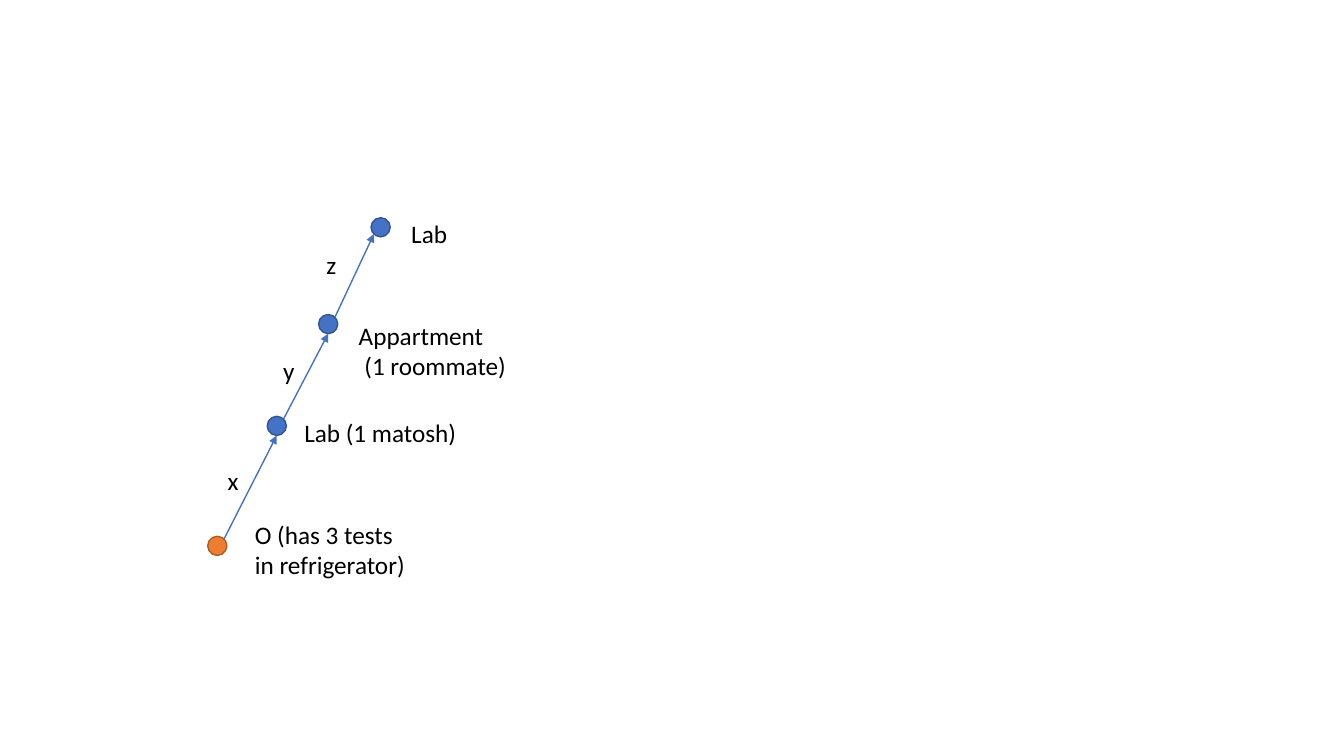
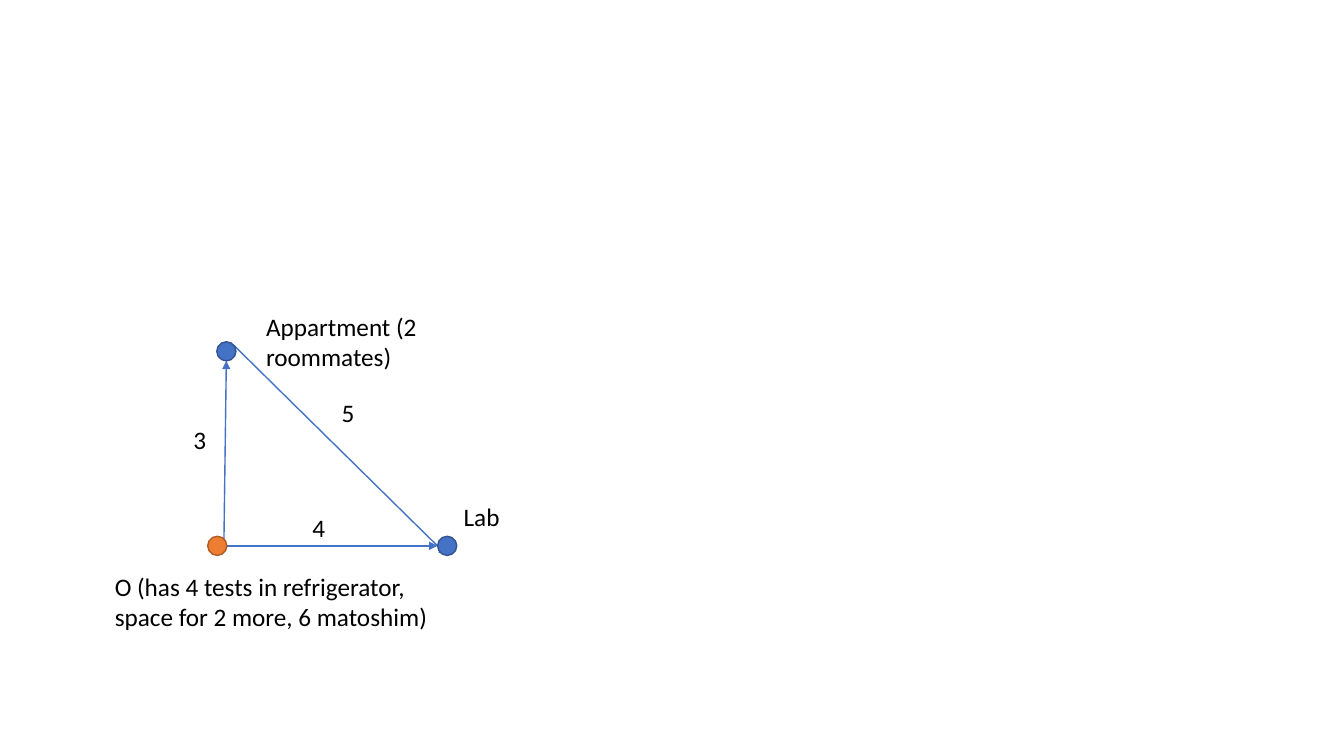
from dataclasses import dataclass

from pptx import Presentation
from pptx import util as u
from pptx.dml.color import RGBColor
from pptx.enum import shapes, text
from pptx.oxml import ns, xmlchemy

PX = 9144  # EMU: 100 px to the inch


@dataclass(frozen=True)
class Theme:
    font: str = "Calibri"
    size: int = 18
    ink: RGBColor = RGBColor.from_string("000000")
    arrow: RGBColor = RGBColor.from_string("4472C4")
    place: tuple = (RGBColor.from_string("4472C4"), RGBColor.from_string("325491"))
    origin: tuple = (RGBColor.from_string("ED7D31"), RGBColor.from_string("AF5C24"))
    line: int = 1


THEME = Theme()
SLIDE_SIZE = (1333, 750)
NODE = 19
WEIGHT_WIDTH = 66
LINE_HEIGHTS = {1: 40, 2: 71}

# Where an arrow touches a node, in fractions of the node's size
SITES = {"N-E": (0.85, 0.15), "E": (1, 0.5), "S": (0.5, 1), "S-W": (0.15, 0.85), "W": (0, 0.5)}

# Nodes: left, top. Arrows: from, site, to, site. Weights: text, left, top.
# Labels: text, left, top, width, number of lines. All relative to the box.
CHAIN = {
    "box": (206, 212),
    "nodes": {"origin": (0, 320), "first lab": (59, 201),
              "apartment": (110, 100), "last lab": (162, 4)},
    "arrows": [("origin", "N-E", "first lab", "S"),
               ("first lab", "N-E", "apartment", "S"),
               ("apartment", "N-E", "last lab", "S-W")],
    "weights": [("x", 10, 245), ("y", 65, 136), ("z", 108, 30)],
    "labels": [("O (has 3 tests in refrigerator)", 37, 298, 177, 2),
               ("Lab (1 matosh)", 86, 197, 177, 1),
               ("Appartment\n (1 roommate)", 140, 101, 177, 2),
               ("Lab", 192, 0, 71, 1)],
}
TRIANGLE = {
    "box": (104, 304),
    "nodes": {"origin": (102, 228), "apartment": (111, 35), "lab": (330, 228)},
    "arrows": [("origin", "N-E", "apartment", "S"),
               ("apartment", "N-E", "lab", "S"),
               ("origin", "E", "lab", "W")],
    "weights": [("3", 78, 112), ("4", 196, 199), ("5", 225, 85)],
    "labels": [("O (has 4 tests in refrigerator, space for 2 more, 6 matoshim)",
                0, 258, 346, 2),
               ("Appartment (2 roommates)", 150, 0, 281, 2),
               ("Lab", 346, 188, 71, 1)],
}


def px(*lengths):
    return [u.Emu(round(length * PX)) for length in lengths]


def add_arrow(slide, start, end):
    arrow = slide.shapes.add_connector(shapes.MSO_CONNECTOR.STRAIGHT, *px(*start, *end))
    arrow.line.color.rgb = THEME.arrow
    arrow.line.width = u.Pt(THEME.line)
    properties = arrow.element.spPr
    head = xmlchemy.OxmlElement("a:tailEnd")
    head.set("type", "triangle")
    properties.find(ns.qn("a:ln")).append(head)
    properties.append(xmlchemy.OxmlElement("a:effectLst"))


def add_node(slide, left, top, colors):
    node = slide.shapes.add_shape(shapes.MSO_SHAPE.OVAL, *px(left, top, NODE, NODE))
    node.shadow.inherit = False
    node.fill.solid()
    node.fill.fore_color.rgb, node.line.color.rgb = colors
    node.line.width = u.Pt(THEME.line)


def add_label(slide, words, left, top, width, lines=1):
    label = slide.shapes.add_textbox(*px(left, top, width, LINE_HEIGHTS[lines]))
    frame = label.text_frame
    frame.word_wrap = True
    frame.auto_size = text.MSO_AUTO_SIZE.SHAPE_TO_FIT_TEXT
    frame.text = words
    for paragraph in frame.paragraphs:
        paragraph.font.name = THEME.font
        paragraph.font.size = u.Pt(THEME.size)
        paragraph.font.color.rgb = THEME.ink


def add_graph(slide, graph):
    """Draw arrows below the nodes, then the text, all offset by the box."""
    x, y = graph["box"]
    nodes = {name: (x + left, y + top) for name, (left, top) in graph["nodes"].items()}

    def touch(name, site):
        return [edge + part * NODE for edge, part in zip(nodes[name], SITES[site])]

    for source, exit_site, target, entry_site in graph["arrows"]:
        add_arrow(slide, touch(source, exit_site), touch(target, entry_site))
    for name, (left, top) in nodes.items():
        add_node(slide, left, top, THEME.origin if name == "origin" else THEME.place)
    for words, left, top in graph["weights"]:
        add_label(slide, words, x + left, y + top, WEIGHT_WIDTH)
    for words, left, top, width, lines in graph["labels"]:
        add_label(slide, words, x + left, y + top, width, lines)


def main():
    presentation = Presentation()
    presentation.slide_width, presentation.slide_height = px(*SLIDE_SIZE)
    blank = presentation.slide_layouts[6]
    for graph in (CHAIN, TRIANGLE):
        add_graph(presentation.slides.add_slide(blank), graph)
    presentation.save("out.pptx")


if __name__ == "__main__":
    main()
